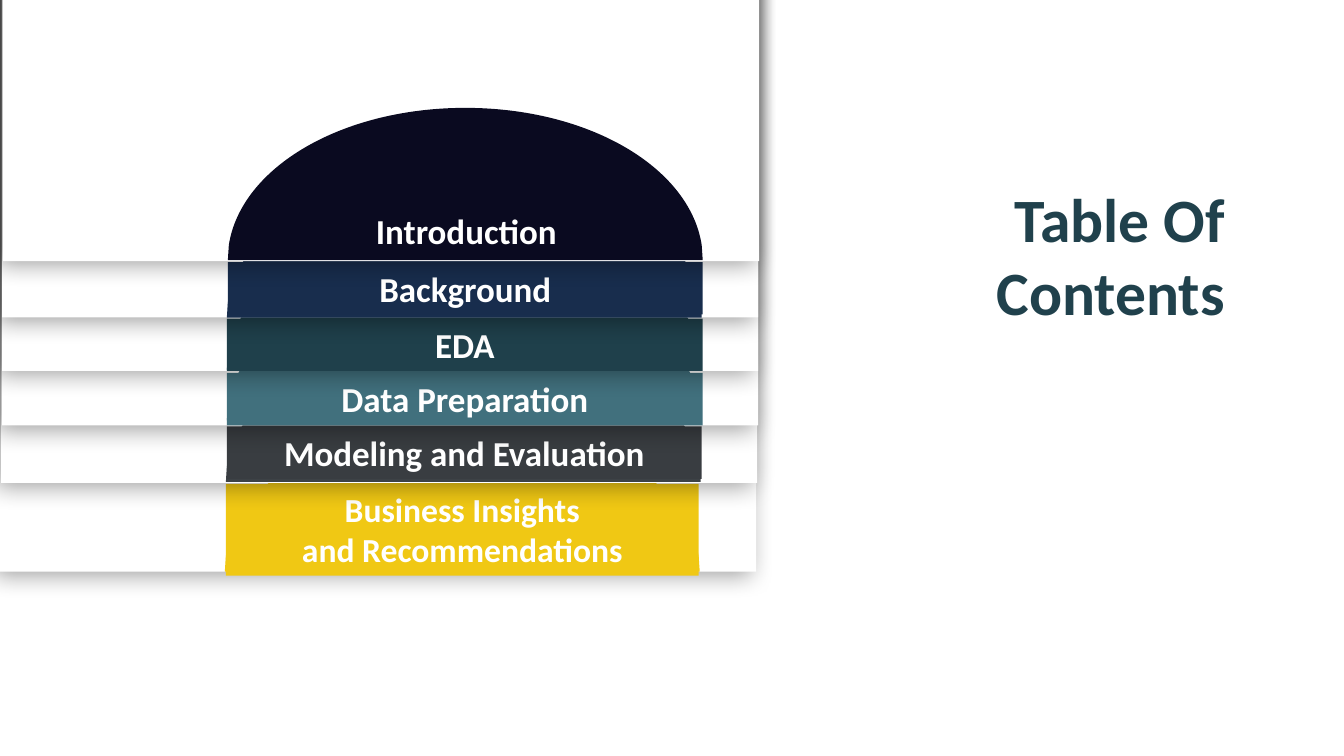
import typing
import pptx
import pptx.util
import pptx.dml.color
import pptx.enum.shapes
import pptx.enum.text
import pptx.oxml.ns
import lxml.etree

Inches = pptx.util.Inches
RGBColor = pptx.dml.color.RGBColor
RECTANGLE = pptx.enum.shapes.MSO_SHAPE.RECTANGLE
ALIGN = pptx.enum.text.PP_ALIGN
qualified = pptx.oxml.ns.qn

SLIDE_WIDTH, SLIDE_HEIGHT = 13.33, 7.5
DOME_WIDTH, DOME_HEIGHT = 4.71, 1.51
SHEET_CENTER = 1.52

WHITE = RGBColor(0xFF, 0xFF, 0xFF)
YELLOW = RGBColor(0xF0, 0xC8, 0x14)
GREY = RGBColor(0x3D, 0x42, 0x46)
DARK_GREY = RGBColor(0x39, 0x3D, 0x41)
TEAL = RGBColor(0x41, 0x70, 0x7D)
PETROL = RGBColor(0x20, 0x41, 0x4C)
DARK_PETROL = RGBColor(0x1F, 0x40, 0x4B)
BLUE = RGBColor(0x18, 0x2E, 0x4E)
DARK_BLUE = RGBColor(0x18, 0x2D, 0x4D)
NIGHT = RGBColor(0x0A, 0x0A, 0x20)


class Tab(typing.NamedTuple):
    text: str
    dome_color: RGBColor
    label_color: typing.Optional[RGBColor]
    dome_left: float
    dome_bottom: float
    sheet_bottom: float
    label_box: tuple
    size: int = 25


TABS = [
    Tab("Business Insights\nand Recommendations", YELLOW, YELLOW,
        2.23, 5.67, 5.67, (2.24, 4.8, 4.69, 0.91), 24),
    Tab("Modeling and Evaluation", GREY, DARK_GREY,
        2.24, 4.78, 4.79, (2.25, 4.23, 4.71, 0.52)),
    Tab("Data Preparation", TEAL, TEAL,
        2.25, 4.17, 4.22, (2.25, 3.7, 4.72, 0.52)),
    Tab("EDA", PETROL, DARK_PETROL,
        2.25, 3.67, 3.68, (2.25, 3.16, 4.72, 0.52)),
    Tab("Background", BLUE, DARK_BLUE,
        2.25, 3.15, 3.15, (2.26, 2.6, 4.71, 0.52)),
    Tab("Introduction", NIGHT, None,
        2.26, 2.58, 2.59, (2.27, 2.03, 4.71, 0.52)),
]


def paint(shape, color):
    shape.shadow.inherit = False
    shape.fill.solid()
    shape.fill.fore_color.rgb = color
    shape.line.fill.background()


def write(shape, text, size, color, alignment):
    frame = shape.text_frame
    frame.word_wrap = True
    frame.auto_size = pptx.enum.text.MSO_AUTO_SIZE.SHAPE_TO_FIT_TEXT
    frame.vertical_anchor = pptx.enum.text.MSO_ANCHOR.TOP
    frame.text = text
    for paragraph in frame.paragraphs:
        paragraph.alignment = alignment
        for run in paragraph.runs:
            run.font.name = "Calibri"
            run.font.size = pptx.util.Pt(size)
            run.font.bold = True
            run.font.color.rgb = color


def add_soft_shadow(shape):
    effects = shape.element.spPr.find(qualified("a:effectLst"))
    shadow = lxml.etree.SubElement(
        effects, qualified("a:outerShdw"), blurRad=str(pptx.util.Pt(17)),
        dist=str(pptx.util.Pt(5)), dir=str(135 * 60000), rotWithShape="0")
    color = lxml.etree.SubElement(shadow, qualified("a:srgbClr"), val="000000")
    lxml.etree.SubElement(color, qualified("a:alpha"), val="35000")


def add_sheet(shapes, center, bottom):
    left = center - SLIDE_WIDTH / 2
    top = bottom - (SLIDE_WIDTH + SLIDE_HEIGHT) / 2
    sheet = shapes.add_shape(RECTANGLE, Inches(left), Inches(top),
                             Inches(SLIDE_WIDTH), Inches(SLIDE_HEIGHT))
    sheet.rotation = 90
    paint(sheet, WHITE)
    add_soft_shadow(sheet)


def curve_segment(segment, controls):
    curve = lxml.etree.Element(qualified("a:cubicBezTo"))
    for x, y in controls:
        lxml.etree.SubElement(curve, qualified("a:pt"), x=str(Inches(x)),
                              y=str(Inches(DOME_HEIGHT - y)))
    curve.append(segment[0])
    segment.getparent().replace(segment, curve)


def add_dome(shapes, left, bottom, color):
    corners = [(0.01, 0.15), (DOME_WIDTH / 2, DOME_HEIGHT),
               (DOME_WIDTH - 0.01, 0.15), (DOME_WIDTH, 0)]
    builder = shapes.build_freeform(Inches(left), Inches(bottom))
    builder.add_line_segments(
        [(Inches(left + x), Inches(bottom - y)) for x, y in corners], close=True)
    dome = builder.convert_to_shape()
    paint(dome, color)
    rising = [(0.13, 0.92), (1.13, DOME_HEIGHT)]
    falling = [(DOME_WIDTH - x, y) for x, y in reversed(rising)]
    segments = list(dome.element.spPr.iter(qualified("a:lnTo")))
    curve_segment(segments[1], rising)
    curve_segment(segments[2], falling)


def add_tab(slide, tab):
    shapes = slide.shapes.add_group_shape().shapes
    add_sheet(shapes, tab.dome_left + SHEET_CENTER, tab.sheet_bottom)
    add_dome(shapes, tab.dome_left, tab.dome_bottom, tab.dome_color)
    box = [Inches(length) for length in tab.label_box]
    if tab.label_color is None:
        label = shapes.add_textbox(*box)
    else:
        label = shapes.add_shape(RECTANGLE, *box)
        paint(label, tab.label_color)
    write(label, tab.text, tab.size, WHITE, ALIGN.CENTER)


def add_title(slide, left, top, width, height):
    title = slide.shapes.title
    title.left, title.top = Inches(left), Inches(top)
    title.width, title.height = Inches(width), Inches(height)
    write(title, "Table Of\nContents", 44, PETROL, ALIGN.RIGHT)


def main():
    presentation = pptx.Presentation()
    presentation.slide_width = Inches(SLIDE_WIDTH)
    presentation.slide_height = Inches(SLIDE_HEIGHT)
    slide = presentation.slides.add_slide(presentation.slide_layouts[5])
    add_title(slide, 6.21, 1.74, 6.04, 1.58)
    for tab in TABS:
        add_tab(slide, tab)
    presentation.save("out.pptx")


if __name__ == "__main__":
    main()
